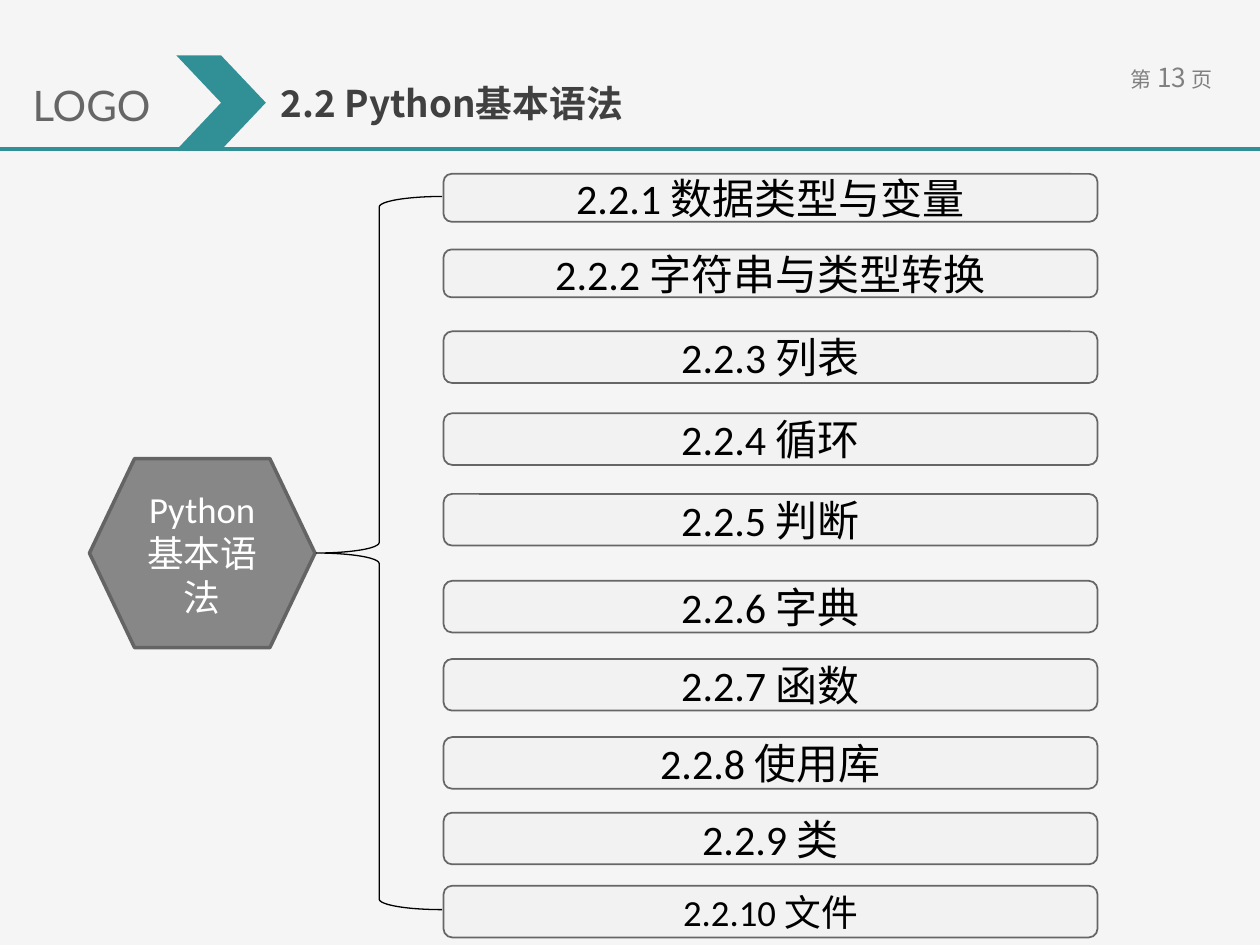
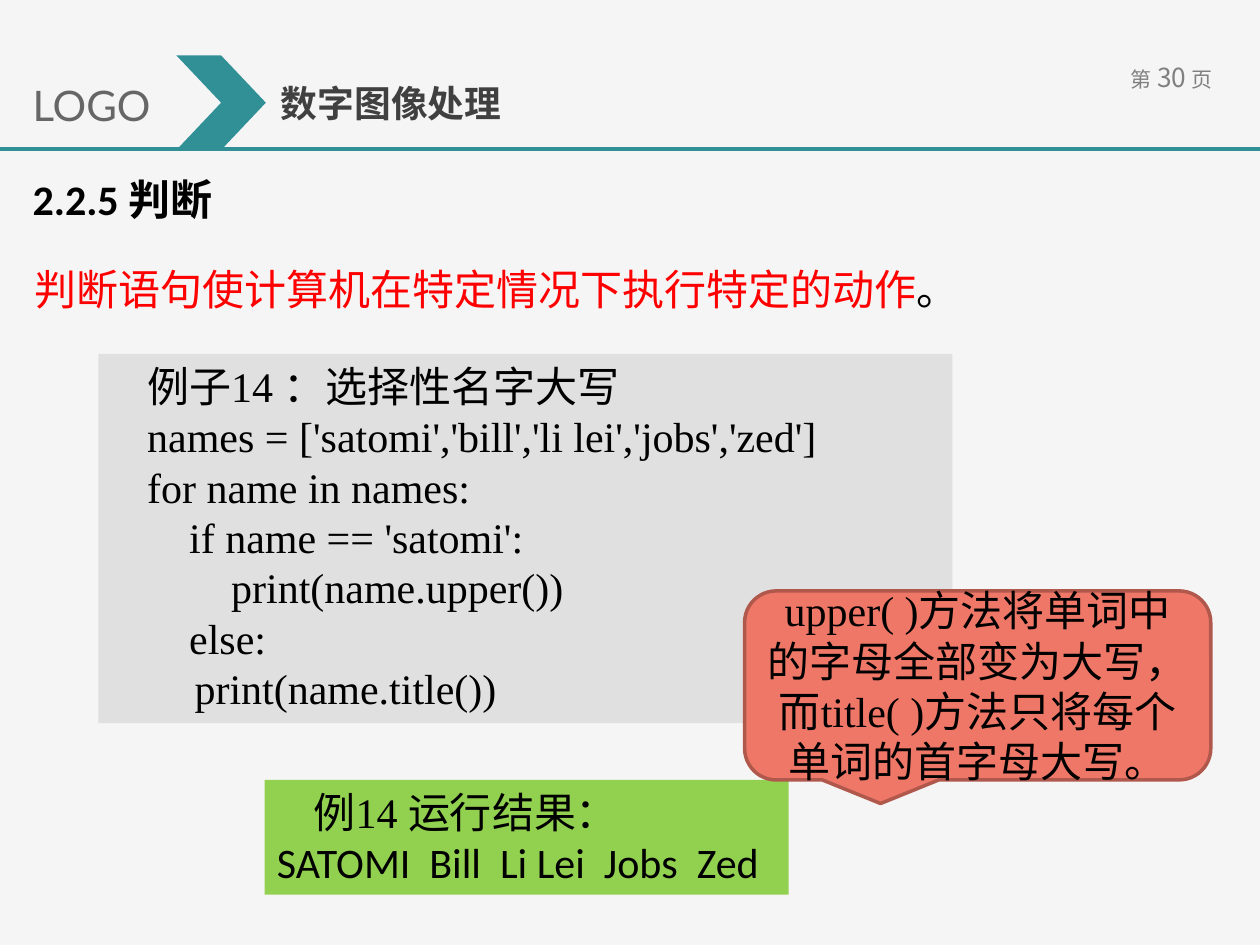
"""Build two slides on basic Python syntax: a topic overview and an example on conditions."""
from lxml import etree
from pptx import Presentation, util as u
from pptx.dml.color import RGBColor
from pptx.enum import shapes, text
from pptx.oxml import ns

BACKGROUND = RGBColor(0xF5, 0xF5, 0xF5)
TEAL = RGBColor(0x31, 0x90, 0x95)
TITLE_GREY = RGBColor(0x40, 0x40, 0x40)
LOGO_GREY = RGBColor(0x66, 0x66, 0x66)
PAGE_GREY = RGBColor(0x80, 0x80, 0x80)
HUB_FILL = RGBColor(0x87, 0x87, 0x87)
HUB_LINE = RGBColor(0x64, 0x64, 0x64)
CARD_FILL = RGBColor(0xF2, 0xF2, 0xF2)
CODE_FILL = RGBColor(0xE0, 0xE0, 0xE0)
RESULT_FILL = RGBColor(0x92, 0xD0, 0x50)
NOTE_FILL = RGBColor(0xEF, 0x77, 0x68)
NOTE_LINE = RGBColor(0xB1, 0x58, 0x4D)
RED = RGBColor(0xFF, 0, 0)
BLACK = RGBColor(0, 0, 0)
WHITE = RGBColor(0xFF, 0xFF, 0xFF)

CJK, SANS, SERIF, LOGO_FONT = "Noto Sans CJK SC", "Calibri", "Times New Roman", "Lato"
LEFT, CENTER, JUSTIFY = text.PP_ALIGN.LEFT, text.PP_ALIGN.CENTER, text.PP_ALIGN.JUSTIFY
TOP, MIDDLE = text.MSO_ANCHOR.TOP, text.MSO_ANCHOR.MIDDLE
KIND = shapes.MSO_SHAPE
FIRST_LINE = 0.29

OVERVIEW_TITLE = "2.2 Python基本语法"
HUB = "Python基本语法"
TOPICS = [
    (1.38, "数据类型与变量"), (1.98, "字符串与类型转换"), (2.63, "列表"), (3.28, "循环"),
    (3.92, "判断"), (4.61, "字典"), (5.23, "函数"), (5.85, "使用库"), (6.45, "类"),
    (7.03, "文件"),
]

EXAMPLE_TITLE = "数字图像处理"
SECTION = "2.2.5 判断"
STATEMENT = [("判断语句使计算机在特定情况下执行特定的动作", {"color": RED}), ("。", {})]
CODE = [
    "例子14 ：选择性名字大写",
    "names = ['satomi','bill','li lei','jobs','zed']",
    "for name in names:",
    "    if name == 'satomi':",
    "        print(name.upper())",
    "    else:",
    "        print(name.title())",
]
RESULT = ["例14 运行结果：", [("SATOMI  Bill  Li Lei  Jobs  Zed", {"font": SANS})]]
NOTE = "upper( )方法将单词中的字母全部变为大写，而title( )方法只将每个单词的首字母大写。"


def format_span(span, size, color=BLACK, font=SERIF, bold=False):
    span.font.size = u.Pt(size)
    span.font.color.rgb = color
    span.font.bold = bold
    span.font.name = font
    etree.SubElement(span.font._element, ns.qn("a:ea")).set("typeface", CJK)


def write(box, paragraphs, align=LEFT, anchor=TOP, indents=(), margins=(0.1, 0.05), **style):
    frame = box.text_frame
    frame.word_wrap = True
    frame.auto_size = text.MSO_AUTO_SIZE.NONE
    frame.vertical_anchor = anchor
    frame.margin_left = frame.margin_right = u.Inches(margins[0])
    frame.margin_top = frame.margin_bottom = u.Inches(margins[1])
    for number, content in enumerate(paragraphs):
        para = frame.paragraphs[0] if number == 0 else frame.add_paragraph()
        indent = indents[number] if number < len(indents) else 0
        properties = para._p.get_or_add_pPr()
        properties.set("marL", "0")
        properties.set("indent", str(u.Inches(indent)))
        etree.SubElement(properties, ns.qn("a:buNone"))
        para.alignment = align
        para.space_before = u.Pt(0)
        for words, changes in [(content, {})] if isinstance(content, str) else content:
            span = para.add_run()
            span.text = words
            format_span(span, **{**style, **changes})


def place(box, *area):
    box.left, box.top, box.width, box.height = map(u.Inches, area)
    return box


def add_text(page, area, paragraphs, **style):
    write(page.shapes.add_textbox(*map(u.Inches, area)), paragraphs, **style)


def add_shape(page, kind, area, fill=None, line=None, weight=1):
    shape = page.shapes.add_shape(kind, *map(u.Inches, area))
    shape.shadow.inherit = False
    if fill is None:
        shape.fill.background()
    else:
        shape.fill.solid()
        shape.fill.fore_color.rgb = fill
    if line is None:
        shape.line.fill.background()
    else:
        shape.line.color.rgb = line
        shape.line.width = u.Pt(weight)
    return shape


def add_page(deck, layout, title, number):
    page = deck.slides.add_slide(deck.slide_layouts.get_by_name(layout))
    page.background.fill.solid()
    page.background.fill.fore_color.rgb = BACKGROUND
    number_spans = [("第", {}), (" ", {"size": 13.5}), (str(number), {"size": 15}),
                    (" ", {"size": 13.5}), ("页", {})]
    add_text(page, (8.86, 0.44, 0.88, 0.35), [number_spans], align=CENTER,
             size=12, color=PAGE_GREY, font=CJK)
    rule = page.shapes.add_connector(shapes.MSO_CONNECTOR.STRAIGHT, 0, u.Inches(1.18),
                                     deck.slide_width, u.Inches(1.18))
    rule.line.color.rgb = TEAL
    rule.line.width = u.Pt(2.25)
    etree.SubElement(rule._element.spPr, ns.qn("a:effectLst"))
    write(place(page.shapes.title, 2.13, 0.59, 6.03, 0.45), [title],
          size=21, color=TITLE_GREY, font=CJK, bold=True)
    add_shape(page, KIND.CHEVRON, (1.4, 0.44, 0.71, 0.75), TEAL)
    add_text(page, (0.16, 0.58, 1.25, 0.51), ["LOGO"], size=24, color=LOGO_GREY, font=LOGO_FONT)
    return page


def add_overview(deck):
    page = add_page(deck, "Title Only", OVERVIEW_TITLE, 13)
    hub = add_shape(page, KIND.FLOWCHART_PREPARATION, (0.71, 3.64, 1.79, 1.5),
                    HUB_FILL, HUB_LINE, 2)
    write(hub, [HUB], align=CENTER, anchor=MIDDLE, size=21, color=WHITE, font=SANS)
    add_shape(page, KIND.LEFT_BRACE, (2.51, 1.56, 1, 5.66), line=BLACK, weight=0.75)
    for number, (top, topic) in enumerate(TOPICS, 1):
        height = 0.38 if number <= 2 else 0.41
        card = add_shape(page, KIND.ROUNDED_RECTANGLE, (3.52, top, 5.19, height),
                         CARD_FILL, LOGO_GREY)
        write(card, [f"2.2.{number} {topic}"], align=CENTER, anchor=MIDDLE,
              margins=(0.08, 0.04), size=24 if number < len(TOPICS) else 21, font=SANS)


def add_example(deck):
    page = add_page(deck, "Title and Content", EXAMPLE_TITLE, 30)
    code = add_shape(page, KIND.RECTANGLE, (0.78, 2.81, 6.78, 2.93), CODE_FILL)
    write(code, CODE, indents=[FIRST_LINE] * (len(CODE) - 1), size=24)
    result = add_shape(page, KIND.RECTANGLE, (2.1, 6.19, 4.16, 0.91), RESULT_FILL)
    write(result, RESULT, indents=[FIRST_LINE], size=24)
    write(place(page.placeholders[1], -0.12, 2.04, 9.73, 0.5), [STATEMENT],
          align=JUSTIFY, indents=[FIRST_LINE], size=24)
    note = add_shape(page, KIND.ROUNDED_RECTANGULAR_CALLOUT, (5.91, 4.69, 3.7, 1.5),
                     NOTE_FILL, NOTE_LINE, 2)
    write(note, [NOTE], align=CENTER, anchor=MIDDLE, size=24)
    add_text(page, (0.16, 1.33, 2.95, 0.5), [SECTION], size=24, font=SANS, bold=True)


def main():
    deck = Presentation()
    deck.slide_width, deck.slide_height = u.Inches(10), u.Inches(7.5)
    add_overview(deck)
    add_example(deck)
    deck.save("out.pptx")


if __name__ == "__main__":
    main()
